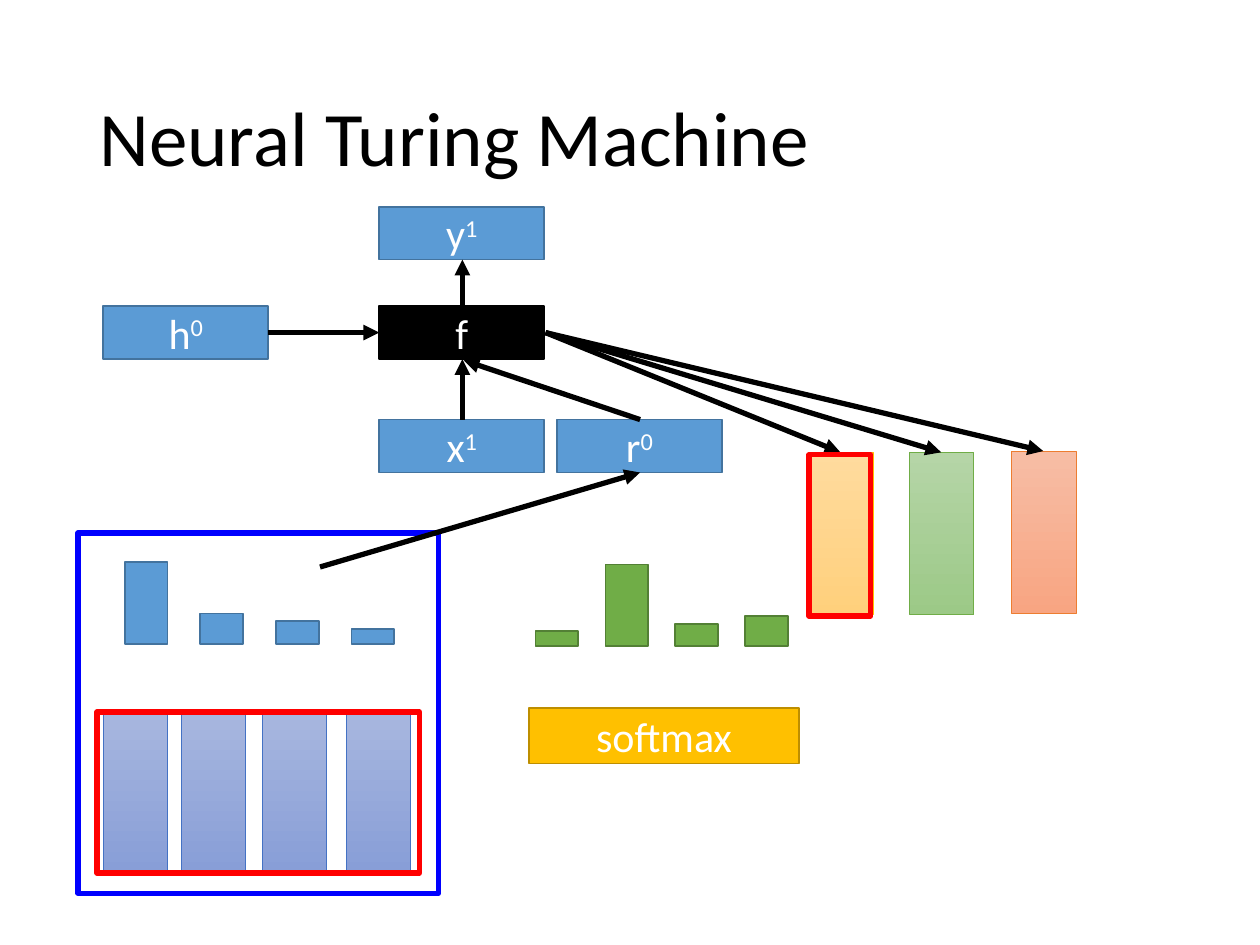
from lxml import etree
from pptx import Presentation
from pptx import util as u
from pptx.dml.color import RGBColor
from pptx.enum import shapes, text
from pptx.oxml.ns import qn

rgb = RGBColor.from_string

prs = Presentation()
prs.slide_width, prs.slide_height = u.Inches(10), u.Inches(7.5)
s = prs.slides.add_slide(prs.slide_layouts[5])


def box(x, y, w, h, fill, line, width=1, label="", sup=""):
    """Rectangle; fill is None, one colour, or a (top, bottom) gradient."""
    sp = s.shapes.add_shape(shapes.MSO_SHAPE.RECTANGLE, *map(u.Inches, (x, y, w, h)))
    sp.shadow.inherit = False
    sp.line.color.rgb = rgb(line)
    sp.line.width = u.Pt(width)
    if fill is None:
        sp.fill.background()
    elif isinstance(fill, tuple):
        sp.fill.gradient()
        sp.fill.gradient_angle = 270
        for stop, color, pos in zip(sp.fill.gradient_stops, fill, (0, 1)):
            stop.color.rgb = rgb(color)
            stop.position = pos
    else:
        sp.fill.solid()
        sp.fill.fore_color.rgb = rgb(fill)
    if label:
        tf = sp.text_frame
        tf.vertical_anchor = text.MSO_ANCHOR.MIDDLE
        p = tf.paragraphs[0]
        p.alignment = text.PP_ALIGN.CENTER
        for part in filter(None, (label, sup)):
            r = p.add_run()
            r.text = part
            for name, value in {"name": "Calibri", "size": u.Pt(24)}.items():
                setattr(r.font, name, value)
            r.font.color.rgb = rgb("FFFFFF")
        if sup:
            r.font._element.set("baseline", "30000")


def arrow(x1, y1, x2, y2):
    c = s.shapes.add_connector(shapes.MSO_CONNECTOR.STRAIGHT, *map(u.Inches, (x1, y1, x2, y2)))
    c.line.color.rgb = rgb("000000")
    c.line.width = u.Pt(3)
    etree.SubElement(c.line._get_or_add_ln(), qn("a:tailEnd"), type="triangle")
    etree.SubElement(c._element.spPr, qn("a:effectLst"))


# Title
sp = s.shapes.title
for name, value in {"left": 0.69, "top": 0.4, "width": 8.62, "height": 1.45}.items():
    setattr(sp, name, u.Inches(value))
tf = sp.text_frame
tf.text = "Neural Turing Machine"
tf.vertical_anchor = text.MSO_ANCHOR.MIDDLE
p = tf.paragraphs[0]
for name, value in {"alignment": text.PP_ALIGN.LEFT, "line_spacing": 0.9}.items():
    setattr(p, name, value)
for name, value in {"name": "Calibri", "size": u.Pt(44)}.items():
    setattr(p.runs[0].font, name, value)
p.runs[0].font.color.rgb = rgb("000000")

# Memory frame and its vectors
box(0.62, 4.23, 2.86, 2.86, None, "0000FF", 3)
for x in (0.82, 1.44, 2.08, 2.75):
    box(x, 5.63, 0.51, 1.29, ("A8B7DF", "889ED7"), "4472C4", 0.5)

# Controller output vectors, each fed by an arrow from f
for x, y, fill, line in (
    (7.22, 3.59, ("B5D5A7", "9CC987"), "70AD47"),
    (8.03, 3.58, ("F7BDA5", "F8A582"), "ED7D31"),
    (6.42, 3.59, ("FFDB9E", "FFD07C"), "FFC000"),
):
    box(x, y, 0.51, 1.29, fill, line, 0.5)
    arrow(4.33, 2.64, x + 0.25, y)

# Softmax and red highlights
box(4.2, 5.62, 2.14, 0.44, "FFC000", "BD8E00", label="softmax")
box(6.42, 3.61, 0.49, 1.28, None, "FF0000", 3)
box(0.77, 5.65, 2.56, 1.28, None, "FF0000", 3)

# Attention weights: bars standing on a common baseline
for x0, step, base, fill, line, heights in (
    (0.99, 0.6, 5.11, "5B9BD5", "43739E", (0.65, 0.24, 0.18, 0.12)),
    (4.25, 0.555, 5.13, "70AD47", "538035", (0.12, 0.65, 0.18, 0.24)),
):
    for i, h in enumerate(heights):
        box(x0 + i * step, base - h, 0.34, h, fill, line)

# Network nodes
for x, y, fill, line, label, sup in (
    (4.42, 3.33, "5B9BD5", "43739E", "r", "0"),
    (3.01, 1.64, "5B9BD5", "43739E", "y", "1"),
    (3.01, 2.43, "000000", "000000", "f", ""),
    (0.82, 2.43, "5B9BD5", "43739E", "h", "0"),
    (3.01, 3.33, "5B9BD5", "43739E", "x", "1"),
):
    box(x, y, 1.31, 0.42, fill, line, label=label, sup=sup)

# Arrows between nodes
for ends in (
    (2.13, 2.64, 3.01, 2.64),
    (5.08, 3.33, 3.68, 2.86),
    (3.67, 2.42, 3.67, 2.06),
    (3.67, 3.33, 3.67, 2.85),
    (2.54, 4.5, 5.08, 3.75),
):
    arrow(*ends)

prs.save("out.pptx")
